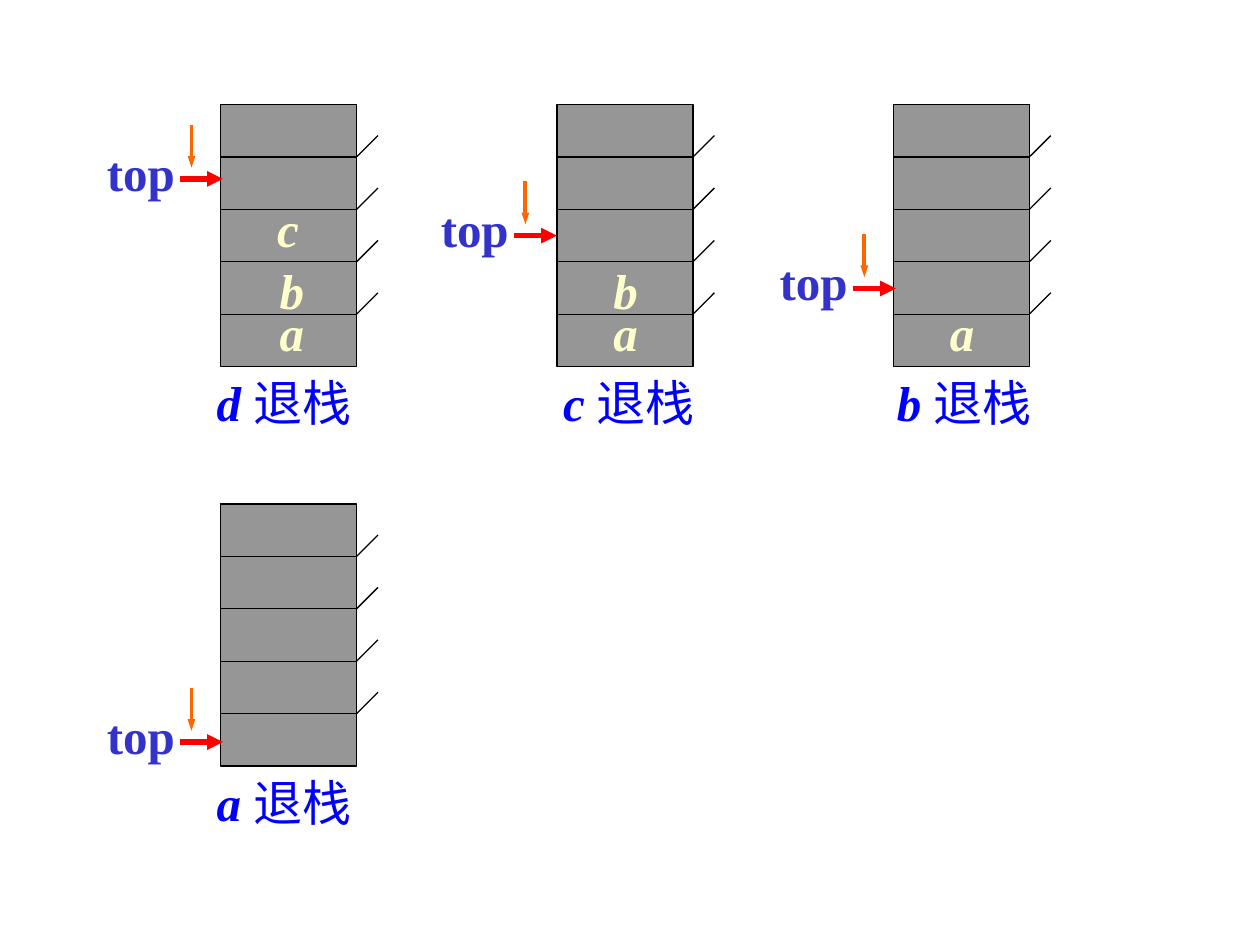
from dataclasses import dataclass

from lxml import etree
from pptx import Presentation
from pptx.dml.color import RGBColor
from pptx.enum import shapes, text
from pptx.oxml import ns
from pptx.util import Inches, Pt


@dataclass(frozen=True)
class Theme:
    font: str = "Times New Roman"
    size: int = 28
    cell: str = "969696"
    edge: str = "000000"
    item: str = "FFFFCC"
    label: str = "3333CC"
    caption: str = "0000FF"
    pointer: str = "FF0000"
    move: str = "FF6600"


THEME = Theme()
ROWS = 5
STACK_W, STACK_H = 1.08, 2.08
TICK = 0.17
ITEM_Y = {"a": 1.52, "b": 1.19, "c": 0.7}


def add_line(grp, x1, y1, x2, y2, color, width, head_width=None):
    line = grp.shapes.add_connector(
        shapes.MSO_CONNECTOR.STRAIGHT,
        Inches(x1), Inches(y1), Inches(x2), Inches(y2))
    line.line.color.rgb = RGBColor.from_string(color)
    line.line.width = Pt(width)
    if head_width:
        etree.SubElement(line.line._get_or_add_ln(), ns.qn("a:tailEnd"),
                         type="triangle", w=head_width, len="med")
    etree.SubElement(line._element.spPr, ns.qn("a:effectLst"))


def add_text(grp, x, y, w, words, color, italic=True):
    tf = grp.shapes.add_textbox(
        Inches(x), Inches(y), Inches(w), Inches(0.57)).text_frame
    tf.word_wrap = False
    tf.auto_size = text.MSO_AUTO_SIZE.SHAPE_TO_FIT_TEXT
    p = tf.paragraphs[0]
    p.font.name = THEME.font
    p.font.size = Pt(THEME.size)
    p.font.color.rgb = RGBColor.from_string(color)
    r = p.add_run()
    r.text = words
    r.font.bold, r.font.italic = True, italic
    return p


def add_cells(grp, x, y):
    sp = grp.shapes.add_shape(
        shapes.MSO_SHAPE.RECTANGLE,
        Inches(x), Inches(y), Inches(STACK_W), Inches(STACK_H))
    sp.shadow.inherit = False
    sp.fill.solid()
    sp.fill.fore_color.rgb = RGBColor.from_string(THEME.cell)
    sp.line.color.rgb = RGBColor.from_string(THEME.edge)
    sp.line.width = Pt(0.75)
    right = x + STACK_W
    for row in range(1, ROWS):
        row_y = y + row * STACK_H / ROWS
        add_line(grp, x, row_y, right, row_y, THEME.edge, 0.75)
        add_line(grp, right, row_y, right + TICK, row_y - TICK, THEME.edge, 0.75)


def add_pointer(grp, x, y):
    """Place the top label with its arrows; x is the stack side, y the arrow."""
    add_text(grp, x - 1, y - 0.34, 0.74, "top", THEME.label, italic=False)
    add_line(grp, x - 0.32, y, x + 0.02, y, THEME.pointer, 3, "med")
    add_line(grp, x - 0.23, y - 0.43, x - 0.23, y - 0.09, THEME.move, 2.25, "sm")


def add_caption(grp, x, y, popped):
    p = add_text(grp, x, y, 1.38, f"{popped} ", THEME.caption)
    r = p.add_run()
    r.text = "退栈"
    r.font.bold = r.font.italic = False


def add_stack(s, x, y, popped, caption_dx, pointer, items):
    grp = s.shapes.add_group_shape()
    add_cells(grp, x, y)
    add_pointer(grp, x + pointer[0], y + pointer[1])
    for name, dx in items.items():
        add_text(grp, x + dx, y + ITEM_Y[name], 0.39, name, THEME.item)
    add_caption(grp, x + caption_dx, y + 2.08, popped)


def main():
    prs = Presentation()
    prs.slide_width, prs.slide_height = Inches(10), Inches(7.5)
    s = prs.slides.add_slide(prs.slide_layouts[6])

    # Popped element, caption offset, pointer offset, remaining items
    steps = [
        ("d", -0.13, (0, 0.59), {"a": 0.37, "b": 0.37, "c": 0.35}),
        ("c", -0.05, (-0.02, 1.04), {"a": 0.35, "b": 0.35}),
        ("b", -0.07, (0, 1.46), {"a": 0.35}),
        ("a", -0.13, (0, 1.89), {}),
    ]
    for i, step in enumerate(steps):
        row, col = divmod(i, 3)
        add_stack(s, 1.75 + col * 2.67, 0.83 + row * 3.17, *step)

    prs.save("out.pptx")


if __name__ == "__main__":
    main()
